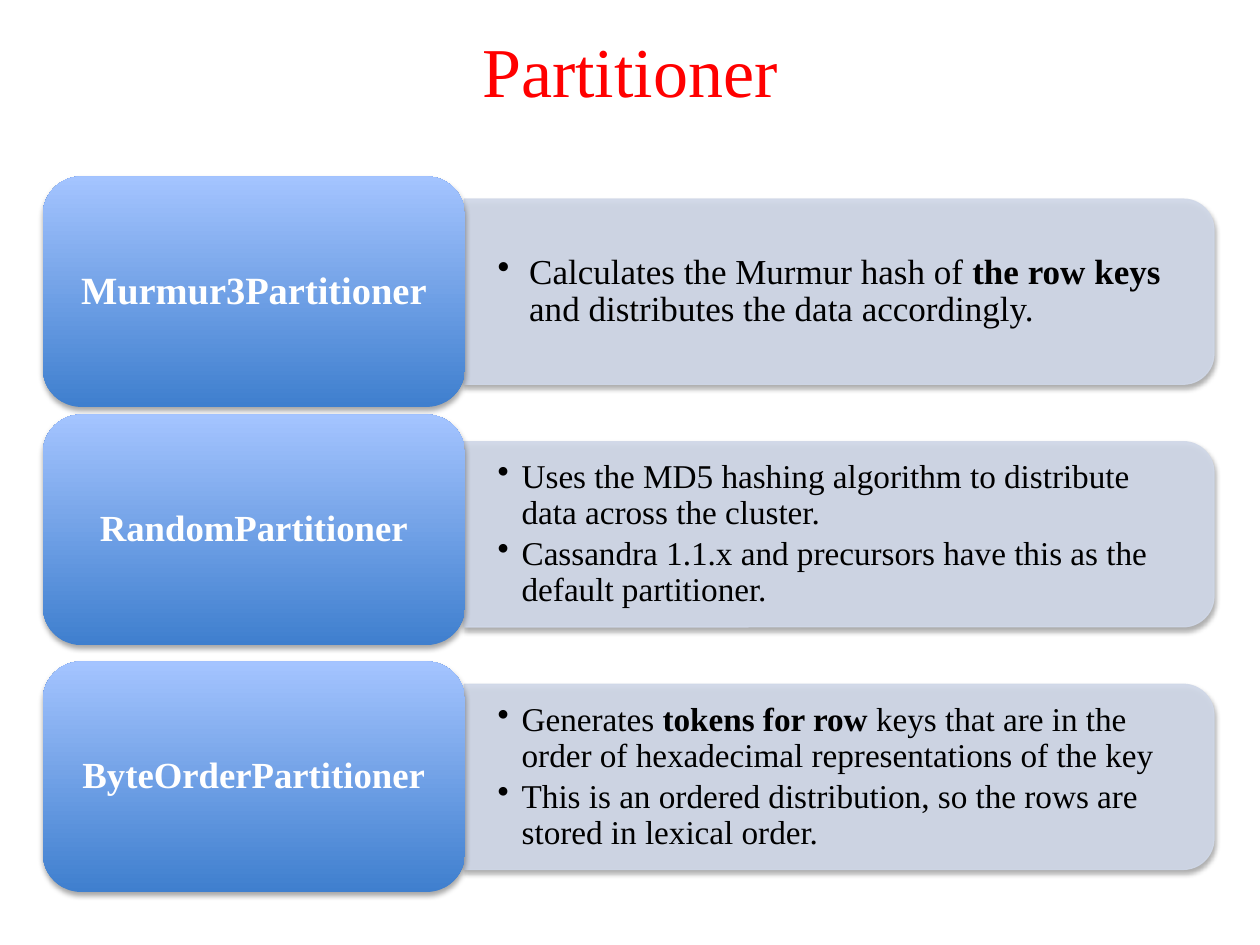
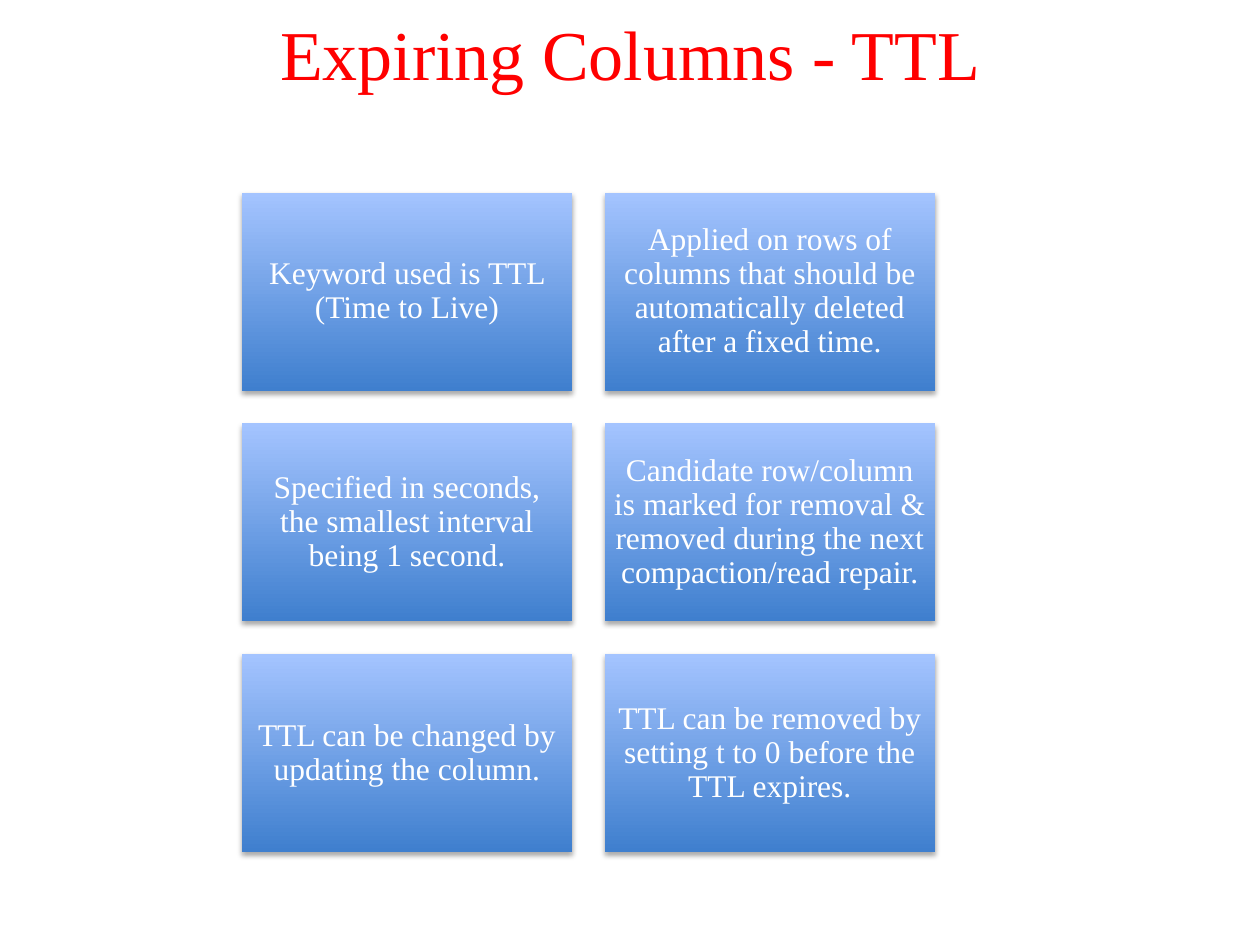
import pptx
import pptx.util
import pptx.dml.color
import pptx.enum.shapes
import pptx.enum.text
import pptx.oxml
import pptx.oxml.ns

Pt = pptx.util.Pt
Inches = pptx.util.Inches
Kind = pptx.enum.shapes.MSO_SHAPE
Align = pptx.enum.text.PP_ALIGN
WIDE, HIGH = Inches(10), Inches(7.5)
FACE = "Times New Roman"
HUES = {"title": "FF0000", "text": "000000", "light": "FFFFFF", "panel": "D0D8E8",
        "low": "3F7FCE", "high": "A4C4FF", "shade": "000000"}

PARTS = [
    ("Murmur3Partitioner", 22, 30.87, 20, 0.25,
     ["Calculates the Murmur hash of |the row keys |and distributes the data accordingly."]),
    ("RandomPartitioner", 21, 56.07, 19, 0.19,
     ["Uses the MD5 hashing algorithm to distribute data across the cluster.",
      "Cassandra 1.1.x and precursors have this as the default partitioner."]),
    ("ByteOrderPartitioner", 21, 82.2, 19, 0.19,
     ["Generates |tokens for row |keys that are in the order of hexadecimal "
      "representations of the key",
      "This is an ordered distribution, so the rows are stored in lexical order."]),
]
FACTS = [
    "Keyword used is TTL (Time to Live)",
    "Applied on rows of columns that should be automatically deleted after a fixed time.",
    "Specified in seconds, the smallest interval being 1 second.",
    "Candidate row/column is marked for removal & removed during the next "
    "compaction/read repair.",
    "TTL can be changed by updating the column.",
    "TTL can be removed by setting t to 0 before the TTL expires.",
]


def hue(name):
    return pptx.dml.color.RGBColor.from_string(HUES[name])


def place(x, y, w, h):
    return [round(part * side / 100) for part, side in zip((x, y, w, h), (WIDE, HIGH) * 2)]


def shade(shape):
    shape.shadow.inherit = False
    effects = shape._element.spPr.find(pptx.oxml.ns.qn("a:effectLst"))
    effects.append(pptx.oxml.parse_xml(
        f'<a:outerShdw {pptx.oxml.ns.nsdecls("a")} blurRad="{Pt(3.1)}" dist="{Pt(1.8)}" '
        f'dir="5400000" rotWithShape="0"><a:srgbClr val="{HUES["shade"]}">'
        '<a:alpha val="35000"/></a:srgbClr></a:outerShdw>'))


def fade(shape):
    for color in shape._element.spPr.iter(pptx.oxml.ns.qn("a:srgbClr")):
        color.append(pptx.oxml.parse_xml(
            f'<a:alpha {pptx.oxml.ns.nsdecls("a")} val="90000"/>'))


def frame(shape, side, top):
    body = shape.text_frame
    body.word_wrap = True
    body.vertical_anchor = pptx.enum.text.MSO_ANCHOR.MIDDLE
    body.margin_left = body.margin_right = Inches(side)
    body.margin_top = body.margin_bottom = Inches(top)
    return body


def style(para, size, color, bold=None):
    font = para.font
    font.name, font.size, font.bold = FACE, Pt(size), bold
    font.color.rgb = hue(color)


def space(para, size, share):
    para.line_spacing = 0.9
    para.space_after = Pt(round(size * share, 2))


def title(slide, text, y, h):
    body = frame(slide.shapes.add_textbox(*place(5, y, 90, h)), 0.1, 0.05)
    para = body.paragraphs[0]
    para.text, para.alignment = text, Align.CENTER
    style(para, 40, "title")


def card(slide, kind, box, text, size, inset, bold=None):
    shape = slide.shapes.add_shape(kind, *place(*box))
    shape.fill.gradient()
    shape.fill.gradient_angle = 90
    for stop, name in zip(shape.fill.gradient_stops, ("low", "high")):
        stop.color.rgb = hue(name)
    shape.line.fill.background()
    shade(shape)
    para = frame(shape, *inset).paragraphs[0]
    para.text, para.alignment = text, Align.CENTER
    space(para, size, 0.35)
    style(para, size, "light", bold)


def panel(slide, x, mid, w, h):
    left, top, wide, high = place(x, mid - h / 2, w, h)
    shift = (wide - high) // 2
    shape = slide.shapes.add_shape(
        Kind.ROUND_2_SAME_RECTANGLE, left + shift, top - shift, high, wide)
    shape.rotation = 90
    shape.fill.solid()
    shape.fill.fore_color.rgb = hue("panel")
    shape.line.color.rgb = hue("panel")
    shape.line.width = Pt(0.75)
    fade(shape)
    shade(shape)


def points(slide, box, items, size, indent):
    body = frame(slide.shapes.add_textbox(*place(*box)), 0.27, 0.14)
    for rank, item in enumerate(items):
        para = body.add_paragraph() if rank else body.paragraphs[0]
        para.alignment = Align.LEFT
        space(para, size, 0.15)
        props = para._p.get_or_add_pPr()
        props.set("marL", str(Inches(indent)))
        props.set("indent", str(-Inches(indent)))
        props.append(pptx.oxml.parse_xml(
            f'<a:buChar {pptx.oxml.ns.nsdecls("a")} char="•"/>'))
        style(para, size, "text")
        for turn, piece in enumerate(item.split("|")):
            run = para.add_run()
            run.text = piece
            if turn % 2:
                run.font.bold = True


def split(slide):
    title(slide, "Partitioner", 1.6, 11.6)
    for row, (name, large, mid, size, indent, items) in enumerate(PARTS):
        axis = 30.87 + 25.67 * row
        panel(slide, 36.85, axis, 59.5, 19.6)
        points(slide, (36.8, axis - 8.8, 58.8, 17.6), items, size, indent)
        card(slide, Kind.ROUNDED_RECTANGLE, (3.4, mid - 12.2, 33.5, 24.4),
             name, large, (0.09, 0.05), True)


def expire(slide):
    title(slide, "Expiring Columns - TTL", 0, 11.2)
    for rank, fact in enumerate(FACTS):
        row, col = divmod(rank, 2)
        card(slide, Kind.RECTANGLE, (19.2 + 28.8 * col, 20.4 + 24.4 * row, 26.2, 20.93),
             fact, 18, (0.07, 0.07))


def main():
    deck = pptx.Presentation()
    deck.slide_width, deck.slide_height = WIDE, HIGH
    for build in (split, expire):
        build(deck.slides.add_slide(deck.slide_layouts[6]))
    deck.save("out.pptx")


if __name__ == "__main__":
    main()
